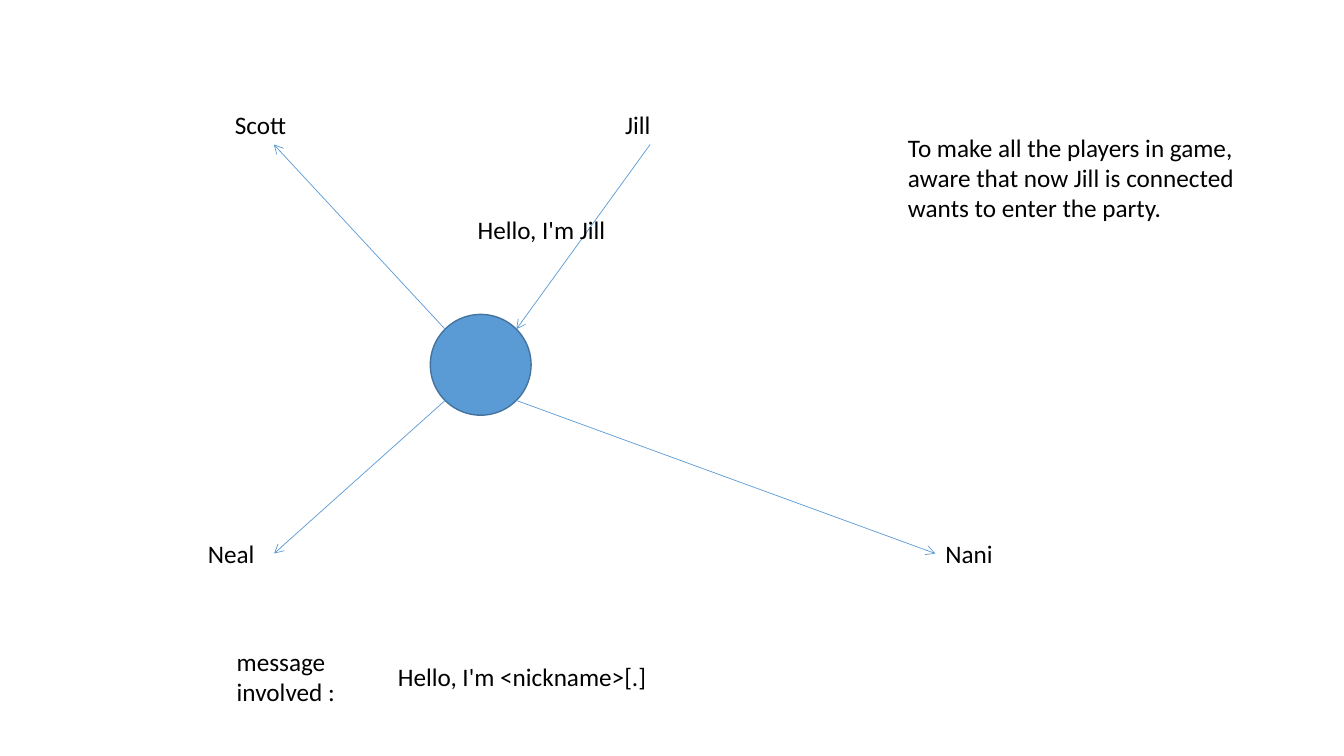
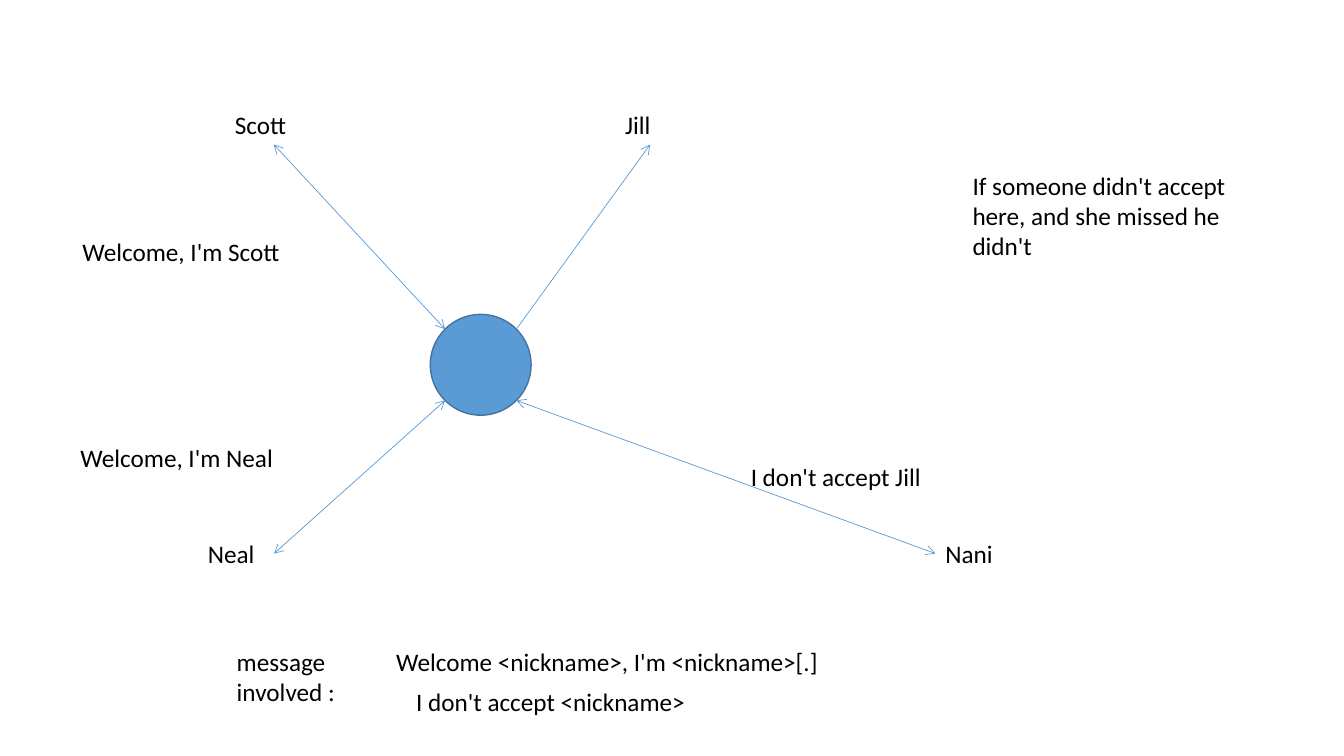
from dataclasses import dataclass
from math import sqrt
from typing import NamedTuple

from lxml.etree import SubElement
from pptx import Presentation
from pptx.dml.color import RGBColor
from pptx.enum.shapes import MSO_CONNECTOR as Line, MSO_SHAPE as Preset
from pptx.enum.text import MSO_AUTO_SIZE as AutoSize
from pptx.oxml.ns import qn
from pptx.slide import Slide
from pptx.util import Pt


@dataclass(frozen=True)
class Theme:
    font: str = "Calibri"
    text_size: float = 18
    text: RGBColor = RGBColor(0x00, 0x00, 0x00)
    accent: RGBColor = RGBColor(0x5B, 0x9B, 0xD5)
    hub_edge: RGBColor = RGBColor(0x43, 0x73, 0x9E)
    hub_edge_width: float = 1
    arrow_width: float = 0.5


class Label(NamedTuple):
    text: str
    left: float
    top: float
    width: float
    height: float = 29


@dataclass(frozen=True)
class Player:
    label: Label
    anchor: tuple[float, float]  # fraction of the label box where the line ends
    side: tuple[int, int]        # direction of the player as seen from the hub

    @property
    def outer(self) -> tuple[float, float]:
        box, (fx, fy) = self.label, self.anchor
        return box.left + fx * box.width, box.top + fy * box.height

    @property
    def inner(self) -> tuple[float, float]:
        reach = HUB_SIZE / 2 / sqrt(2)
        return HUB_X + self.side[0] * reach, HUB_Y + self.side[1] * reach


class Flow(NamedTuple):
    player: str
    to_player: bool
    to_hub: bool


class Scene(NamedTuple):
    flows: list[Flow]
    labels: list[Label]


THEME = Theme()

# Layout shared by both slides
HUB_X, HUB_Y, HUB_SIZE = 343.4, 260.6, 72
BOTTOM, LEFT, RIGHT = (0.5, 1), (0, 0.5), (1, 0.5)
PLAYERS = {p.label.text: p for p in (
    Player(Label("Scott", 160.6, 74.2, 70), BOTTOM, (-1, -1)),
    Player(Label("Jill", 439.4, 74.2, 50), BOTTOM, (1, -1)),
    Player(Label("Neal", 141.4, 380.9, 54.4), RIGHT, (-1, 1)),
    Player(Label("Nani", 668.2, 380.9, 88.6), LEFT, (1, 1)),
)}
CAPTION = Label("message\ninvolved :", 162, 457.9, 123, 51)

# Content of each slide
SCENES = [
    Scene(
        [Flow("Scott", True, False), Flow("Jill", False, True),
         Flow("Neal", True, False), Flow("Nani", True, False)],
        [Label("To make all the players in game, aware that now Jill is "
               "connected wants to enter the party.", 641.5, 90.7, 292.3, 94.3),
         Label("Hello, I'm Jill", 334.1, 149.8, 146.9),
         Label("Hello, I'm <nickname>[.]", 277.2, 468.7, 256.3)],
    ),
    Scene(
        [Flow("Scott", True, True), Flow("Jill", True, False),
         Flow("Neal", True, True), Flow("Nani", True, True)],
        [Label("If someone didn't accept here, and she missed he didn't",
               687.6, 118.1, 233.3, 72.7),
         Label("Welcome, I'm Scott", 51.8, 164.9, 198.7),
         Label("Welcome, I'm Neal", 50.4, 312.5, 198.7),
         Label("I don't accept Jill", 529.2, 326.2, 198.7),
         Label("Welcome <nickname>, I'm <nickname>[.]", 275.8, 457.9, 426.2),
         Label("I don't accept <nickname>", 290.2, 486.7, 249.1)],
    ),
]


def add_label(s: Slide, label: Label) -> None:
    box = s.shapes.add_textbox(*map(Pt, label[1:]))
    tf = box.text_frame
    tf.word_wrap = True
    tf.auto_size = AutoSize.SHAPE_TO_FIT_TEXT
    tf.text = label.text
    for p in tf.paragraphs:
        for r in p.runs:
            r.font.name = THEME.font
            r.font.size = Pt(THEME.text_size)
            r.font.color.rgb = THEME.text


def add_hub(s: Slide) -> None:
    half = HUB_SIZE / 2
    hub = s.shapes.add_shape(Preset.OVAL, Pt(HUB_X - half), Pt(HUB_Y - half),
                             Pt(HUB_SIZE), Pt(HUB_SIZE))
    hub.shadow.inherit = False
    hub.fill.solid()
    hub.fill.fore_color.rgb = THEME.accent
    hub.line.color.rgb = THEME.hub_edge
    hub.line.width = Pt(THEME.hub_edge_width)


def add_flow(s: Slide, flow: Flow) -> None:
    player = PLAYERS[flow.player]
    arrow = s.shapes.add_connector(
        Line.STRAIGHT, *map(Pt, player.inner + player.outer))
    arrow.line.color.rgb = THEME.accent
    arrow.line.width = Pt(THEME.arrow_width)
    # Arrowheads: headEnd is the hub end, tailEnd the player end
    ln = arrow.line._get_or_add_ln()
    for tag, shown in (("a:headEnd", flow.to_hub), ("a:tailEnd", flow.to_player)):
        if shown:
            SubElement(ln, qn(tag), type="arrow")
    SubElement(arrow._element.spPr, qn("a:effectLst"))


def add_scene(s: Slide, scene: Scene) -> None:
    add_hub(s)
    for flow in scene.flows:
        add_flow(s, flow)
    names = [player.label for player in PLAYERS.values()]
    for label in [*names, CAPTION, *scene.labels]:
        add_label(s, label)


def main() -> None:
    prs = Presentation()
    prs.slide_width, prs.slide_height = Pt(960), Pt(540)
    blank = prs.slide_layouts[6]
    for scene in SCENES:
        add_scene(prs.slides.add_slide(blank), scene)
    prs.save("out.pptx")


if __name__ == "__main__":
    main()
